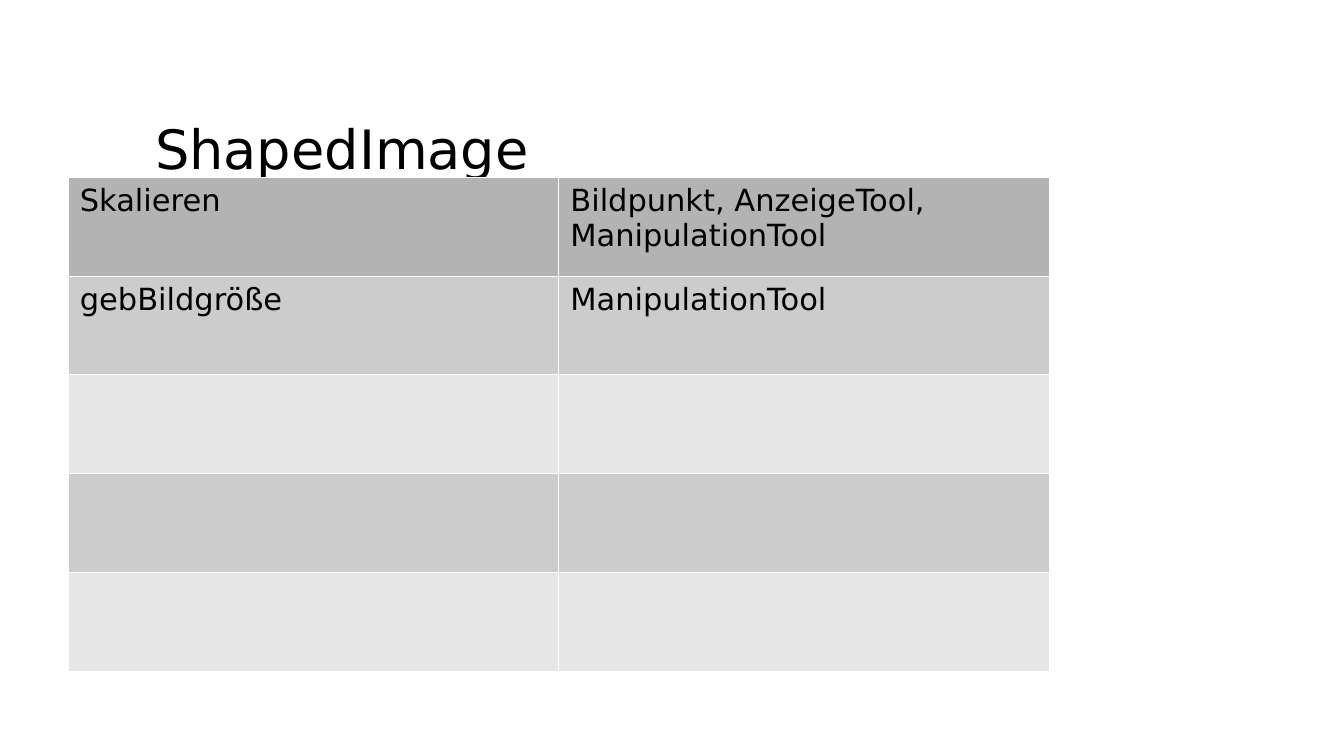
from lxml.etree import SubElement
from pptx import Presentation
from pptx.dml.color import RGBColor
from pptx.enum.text import MSO_ANCHOR, MSO_AUTO_SIZE, PP_ALIGN
from pptx.oxml.ns import qn
from pptx.util import Pt

FONT = "DejaVu Sans"
TITLE_ONLY = 5
BLACK, WHITE = "000000", "FFFFFF"
HEADER, DARK, LIGHT = "B3B3B3", "CCCCCC", "E6E6E6"
COLUMN_WIDTH, ROW_HEIGHT = 289.7, 58.3
BORDER_WIDTH = 0.06

ROWS = [
    ("Skalieren", "Bildpunkt, AnzeigeTool, ManipulationTool"),
    ("gebBildgröße", "ManipulationTool"),
    ("", ""),
    ("", ""),
    ("", ""),
]


def rgb(color):
    return RGBColor.from_string(color)


def format_font(font, size):
    font.name = FONT
    font.size = Pt(size)
    font.bold = False
    font.color.rgb = rgb(BLACK)


def add_title(s, text):
    title = s.shapes.title
    title.left, title.top = Pt(57.6), Pt(64.8)
    title.width, title.height = Pt(352.8), Pt(36)
    tf = title.text_frame
    tf.text = text
    tf.word_wrap = True
    tf.auto_size = MSO_AUTO_SIZE.NONE
    tf.vertical_anchor = MSO_ANCHOR.TOP
    tf.margin_left, tf.margin_top = Pt(34), Pt(3)
    tf.margin_right = tf.margin_bottom = 0
    p = tf.paragraphs[0]
    p.alignment = PP_ALIGN.LEFT
    p.line_spacing = 1.0
    p.space_before = Pt(0)
    format_font(p.runs[0].font, 32)


def set_borders(cell, color, width):
    """Put the four lines before the fill, as the schema orders them."""
    tc_pr = cell._tc.get_or_add_tcPr()
    for i, side in enumerate(("lnL", "lnR", "lnT", "lnB")):
        line = SubElement(tc_pr, qn(f"a:{side}"), w=str(Pt(width)))
        fill = SubElement(line, qn("a:solidFill"))
        SubElement(fill, qn("a:srgbClr"), val=color)
        tc_pr.insert(i, line)


def fill_cell(cell, text, color):
    cell.margin_left = cell.margin_right = Pt(7.2)
    cell.margin_top = cell.margin_bottom = Pt(3.6)
    cell.fill.solid()
    cell.fill.fore_color.rgb = rgb(color)
    set_borders(cell, WHITE, BORDER_WIDTH)
    cell.text_frame.text = text
    format_font(cell.text_frame.paragraphs[0].font, 18)
    for r in cell.text_frame.paragraphs[0].runs:
        format_font(r.font, 18)


def row_color(index):
    if index == 0:
        return HEADER
    return DARK if index % 2 else LIGHT


def add_method_table(s, rows):
    n_rows, n_cols = len(rows), len(rows[0])
    frame = s.shapes.add_table(n_rows, n_cols, Pt(40), Pt(104.6),
                               Pt(COLUMN_WIDTH * n_cols), Pt(ROW_HEIGHT * n_rows))
    table = frame.table
    table.first_row = table.horz_banding = False
    for column in table.columns:
        column.width = Pt(COLUMN_WIDTH)
    for i, texts in enumerate(rows):
        table.rows[i].height = Pt(ROW_HEIGHT)
        for j, text in enumerate(texts):
            fill_cell(table.cell(i, j), text, row_color(i))


def main():
    prs = Presentation()
    prs.slide_width, prs.slide_height = Pt(793.7), Pt(446.4)
    s = prs.slides.add_slide(prs.slide_layouts[TITLE_ONLY])
    add_method_table(s, ROWS)
    add_title(s, "ShapedImage")
    prs.save("out.pptx")


if __name__ == "__main__":
    main()
